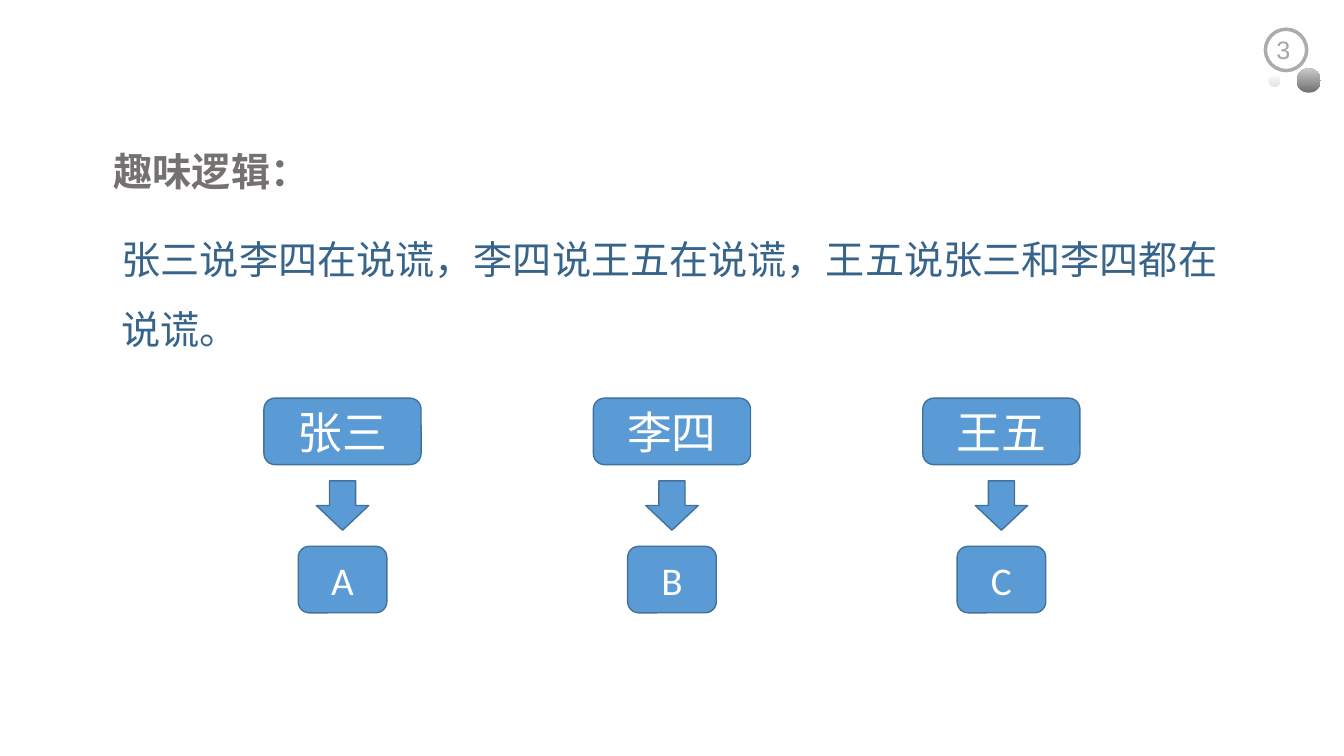
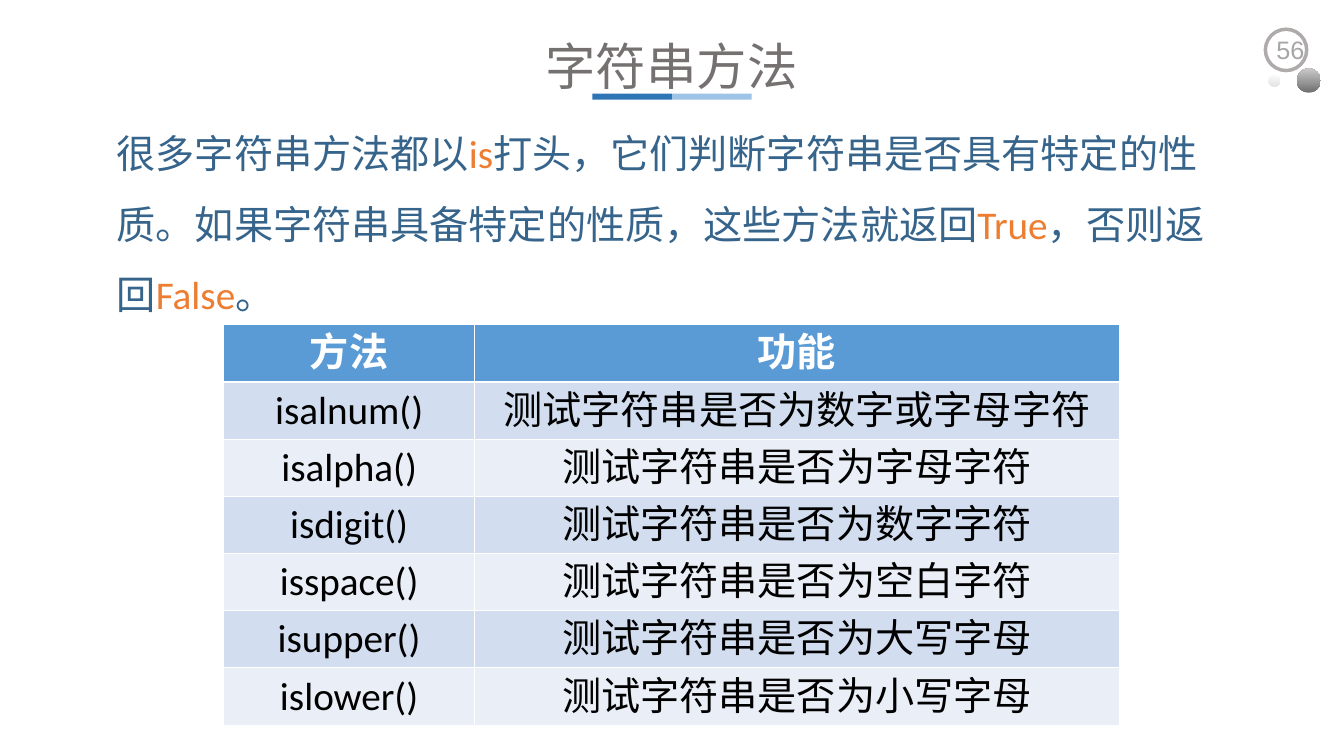
from lxml.etree import SubElement
from pptx import Presentation
from pptx.dml.color import RGBColor
from pptx.enum.shapes import MSO_SHAPE as Shape
from pptx.enum.text import MSO_ANCHOR as Anchor, PP_ALIGN as Align
from pptx.oxml.ns import qn
from pptx.util import Inches, Pt

WHITE = RGBColor(0xFF, 0xFF, 0xFF)
BLACK = RGBColor(0x00, 0x00, 0x00)
GRAY = RGBColor(0x76, 0x71, 0x71)
RING_GRAY = RGBColor(0xAF, 0xAB, 0xAB)
NUMBER_GRAY = RGBColor(0xA6, 0xA6, 0xA6)
BALL_DARK = RGBColor(0x6F, 0x6F, 0x6F)
BALL_LIGHT = RGBColor(0xC9, 0xC9, 0xC9)
DOT_LIGHT = RGBColor(0xFA, 0xFA, 0xFA)
DOT_DARK = RGBColor(0xE4, 0xE4, 0xE4)
TEXT_BLUE = RGBColor(0x36, 0x64, 0x8B)
BLUE = RGBColor(0x5B, 0x9B, 0xD5)
OUTLINE_BLUE = RGBColor(0x41, 0x71, 0x9C)
BAR_DARK = RGBColor(0x2E, 0x75, 0xB6)
BAR_LIGHT = RGBColor(0x9D, 0xC3, 0xE6)
BAND_DARK = RGBColor(0xD2, 0xDE, 0xEF)
BAND_LIGHT = RGBColor(0xEA, 0xEF, 0xF7)
ORANGE = RGBColor(0xED, 0x7D, 0x31)

BODY_FONT = "Calibri"
NAME_FONT = "Noto Sans CJK SC"
NUMBER_FONT = "Arial"

SLIDE_WIDTH = 13.34
CENTER = SLIDE_WIDTH / 2

METHODS = [
    ("方法", "功能"),
    ("isalnum()", "测试字符串是否为数字或字母字符"),
    ("isalpha()", "测试字符串是否为字母字符"),
    ("isdigit()", "测试字符串是否为数字字符"),
    ("isspace()", "测试字符串是否为空白字符"),
    ("isupper()", "测试字符串是否为大写字母"),
    ("islower()", "测试字符串是否为小写字母"),
]


def format_span(span, size, color, name=BODY_FONT, bold=False):
    font = span.font
    font.size = Pt(size)
    font.bold = bold
    font.name = name
    font.color.rgb = color
    SubElement(span._r.get_or_add_rPr(), qn("a:ea")).set("typeface", name)


def add_text(page, at, parts, size=28, name=BODY_FONT, bold=False, align=Align.LEFT, spacing=1.5):
    box = page.shapes.add_textbox(*map(Inches, at))
    box.text_frame.word_wrap = True
    para = box.text_frame.paragraphs[0]
    para.alignment = align
    para.line_spacing = spacing
    for text, color in parts:
        span = para.add_run()
        span.text = text
        format_span(span, size, color, name, bold)


def add_figure(page, kind, at, color=None, outline=None, width=1):
    figure = page.shapes.add_shape(kind, *map(Inches, at))
    figure.shadow.inherit = False
    if color is not None:
        figure.fill.solid()
        figure.fill.fore_color.rgb = color
    if outline is None:
        figure.line.fill.background()
    else:
        figure.line.color.rgb = outline
        figure.line.width = Pt(width)
    return figure


def add_ball(page, at, start, end, angle):
    fill = add_figure(page, Shape.OVAL, at).fill
    fill.gradient()
    fill.gradient_angle = angle
    for stop, color in zip(fill.gradient_stops, (start, end)):
        stop.color.rgb = color


def add_page(deck, number):
    page = deck.slides.add_slide(deck.slide_layouts[6])
    add_figure(page, Shape.OVAL, (12.56, 0.29, 0.41, 0.41), WHITE, RING_GRAY, 2.5)
    add_ball(page, (12.87, 0.68, 0.24, 0.24), BALL_DARK, BALL_LIGHT, 90)
    add_ball(page, (12.59, 0.74, 0.12, 0.12), DOT_LIGHT, DOT_DARK, 270)
    add_text(page, (12.57, 0.29, 0.55, 0.4), [(number, NUMBER_GRAY)], 18, NUMBER_FONT, spacing=1)
    return page


def add_title(page, text):
    add_text(page, (3.81, 0, 5.71, 1), [(text, GRAY)], 36, align=Align.CENTER)
    bar_width = 0.79
    for left, color in ((CENTER - bar_width, BAR_DARK), (CENTER, BAR_LIGHT)):
        add_figure(page, Shape.RECTANGLE, (left, 0.93, bar_width, 0.06), color)


def add_block(page, kind, center, top, width, height, text="", size=28, name=BODY_FONT):
    at = (center - width / 2, top, width, height)
    block = add_figure(page, kind, at, BLUE, OUTLINE_BLUE)
    if text:
        frame = block.text_frame
        frame.vertical_anchor = Anchor.MIDDLE
        para = frame.paragraphs[0]
        para.text = text
        para.alignment = Align.CENTER
        format_span(para.runs[0], size, WHITE, name)


def add_borders(cell, top, bottom):
    properties = cell._tc.get_or_add_tcPr()
    for side, width in (("L", 0.45), ("R", 0.45), ("T", top), ("B", bottom)):
        line = SubElement(properties, qn(f"a:ln{side}"), w=str(Pt(width)))
        fill = SubElement(line, qn("a:solidFill"))
        SubElement(fill, qn("a:srgbClr"), val=str(WHITE))


def fill_cell(cell, text, row):
    header = row == 0
    add_borders(cell, 1.47 if row == 1 else 0.45, 1.47 if header else 0.45)
    cell.fill.solid()
    cell.fill.fore_color.rgb = BLUE if header else (BAND_LIGHT, BAND_DARK)[row % 2]
    para = cell.text_frame.paragraphs[0]
    para.text = text
    para.alignment = Align.CENTER
    format_span(para.runs[0], 28, WHITE if header else BLACK, bold=header)


def add_grid(page, at, rows, widths):
    table = page.shapes.add_table(len(rows), len(widths), *map(Inches, at)).table
    table.horz_banding = False
    for column, width in zip(table.columns, widths):
        column.width = Inches(width)
    for row, texts in enumerate(rows):
        for column, text in enumerate(texts):
            fill_cell(table.cell(row, column), text, row)


def add_logic_page(deck):
    page = add_page(deck, "3")
    puzzle = "张三说李四在说谎，李四说王五在说谎，王五说张三和李四都在说谎。"
    add_text(page, (1.11, 2.05, 11.11, 1.5), [(puzzle, TEXT_BLUE)])
    add_text(page, (1.03, 1.18, 3.58, 0.8), [("趣味逻辑：", GRAY)], bold=True)
    for index, (person, letter) in enumerate(zip(("张三", "李四", "王五"), "ABC")):
        center = CENTER + (index - 1) * 3.27
        add_block(page, Shape.ROUNDED_RECTANGLE, center, 3.95, 1.56, 0.66, person, 32, NAME_FONT)
        add_block(page, Shape.DOWN_ARROW, center, 4.77, 0.52, 0.49)
        add_block(page, Shape.ROUNDED_RECTANGLE, center, 5.42, 0.88, 0.66, letter)


def add_methods_page(deck):
    page = add_page(deck, "56")
    add_title(page, "字符串方法")
    add_grid(page, (2.22, 3.22, 8.89, 3.97), METHODS, (2.49, 6.4))
    add_text(page, (1.06, 1, 11.19, 2.2), [
        ("很多字符串方法都以", TEXT_BLUE),
        ("is", ORANGE),
        ("打头，它们判断字符串是否具有特定的性质。如果字符串具备特定的性质，这些方法就返回", TEXT_BLUE),
        ("True", ORANGE),
        ("，否则返回", TEXT_BLUE),
        ("False", ORANGE),
        ("。", TEXT_BLUE),
    ])


def main():
    deck = Presentation()
    deck.slide_width = Inches(SLIDE_WIDTH)
    deck.slide_height = Inches(7.5)
    add_logic_page(deck)
    add_methods_page(deck)
    deck.save("out.pptx")


if __name__ == "__main__":
    main()
